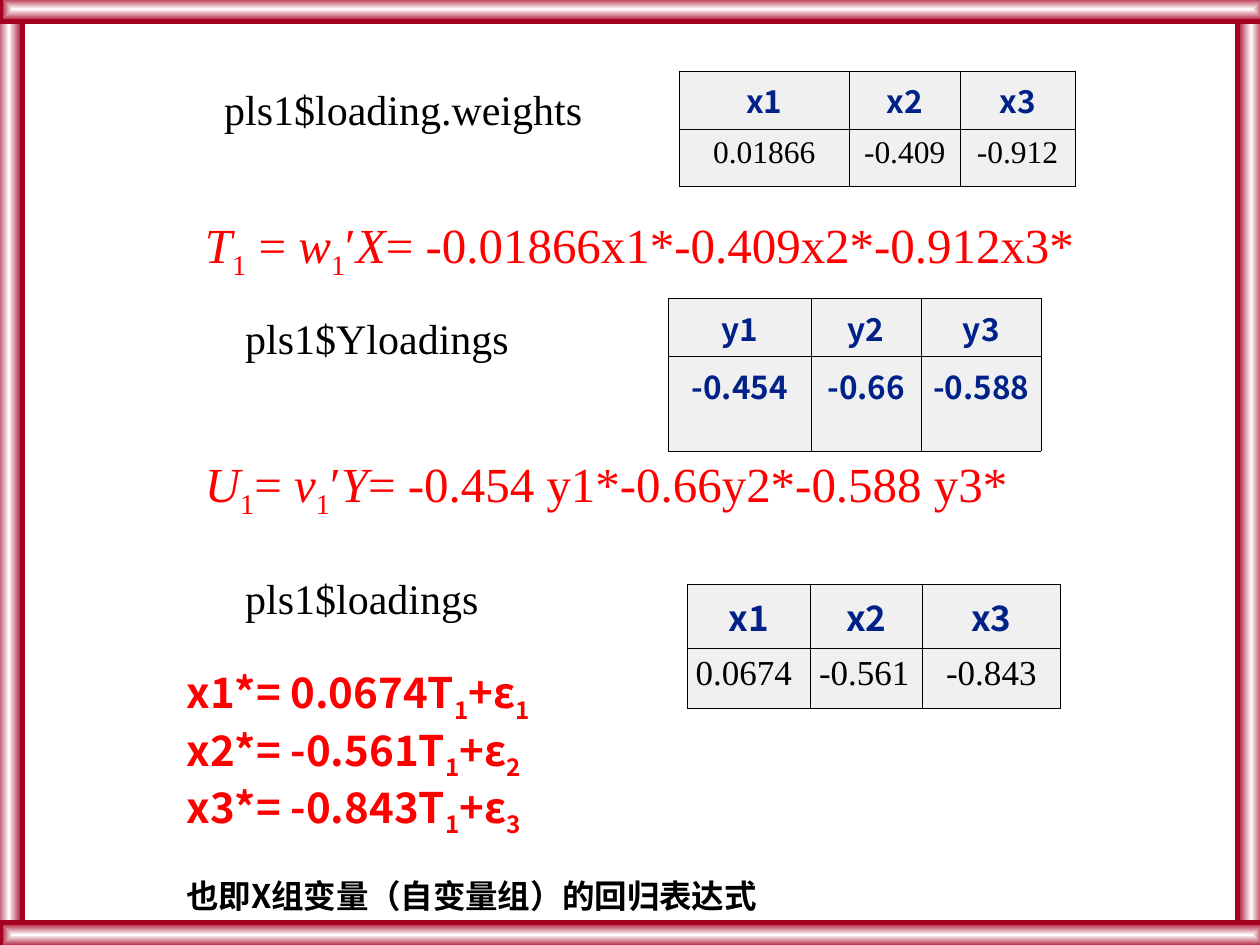
import pptx
import pptx.util
import pptx.dml.color
import pptx.enum.shapes
import pptx.enum.text
import pptx.oxml
import pptx.oxml.ns
from lxml import etree

Pt = pptx.util.Pt
ALIGN = pptx.enum.text.PP_ALIGN
HEX = {"red": "FF0000", "black": "000000", "navy": "002288",
       "wine": "A50021", "white": "FFFFFF", "grey": "F0F0F0"}
SANS, SERIF = "Noto Sans CJK SC", "Times New Roman"

# Font styles: size, face, colour, bold
HEAD = (18, SANS, "navy", True)
HEAD_BIG = (20, SANS, "navy", True)
CELL = (18, SERIF, "black", False)
CELL_BIG = (20, SERIF, "black", False)
LABEL = (24, SERIF, "black", False)
MATH = (28, SERIF, "red", False)
MODEL = (24, SANS, "red", True)
NOTE = (32, SANS, "black", True)

# Frame bars: left, top, width, height
BARS = [(707, -2, 16, 540), (-3, 0, 16, 540),
        (0, -2, 723, 14.5), (0, 527, 723, 14.5)]

# Tables: left, top, column widths, row heights, row styles, rows, left-set cells
TABLES = [
    (382, 170.5, (81.5, 63, 68.5), (32, 54), (HEAD, HEAD),
     (("y1", "y2", "y3"), ("-0.454", "-0.66", "-0.588")), ()),
    (388, 40.5, (97.5, 63, 66), (32, 32.5), (HEAD, CELL),
     (("x1", "x2", "x3"), ("0.01866", "-0.409", "-0.912")), ()),
    (392.5, 334, (70.5, 64, 79), (34.5, 34.5), (HEAD_BIG, CELL_BIG),
     (("x1", "x2", "x3"), ("0.0674", "-0.561", "-0.843")), ((1, 0), (1, 1))),
]

# Runs are (text, mark): i = italic, s = subscript
SCORE_T = [("T", "i"), ("1", "s"), (" = ", ""), ("w", "i"), ("1", "s"), ("′", ""),
           ("X", "i"), ("= -0.01866x1*-0.409x2*-0.912x3*", "")]
SCORE_U = [("U", "i"), ("1", "s"), ("= ", ""), ("v", "i"), ("1", "s"), ("′", ""),
           ("Y", "i"), ("= -0.454 y1*-0.66y2*-0.588 y3*", "")]
LOADS = ["0.0674", "-0.561", "-0.843"]
MODELS = [(MODEL, [(f"x{n}*= {load}T", ""), ("1", "s"), ("+ε", ""), (str(n), "s")])
          for n, load in enumerate(LOADS, 1)]
REMARK = (NOTE, [("也即X组变量（自变量组）的回归表达式", "s")])

# Text boxes: left, top, width, height, wrap, paragraphs
BOXES = [
    (110, 119, 519, 45, True, [(MATH, SCORE_T)]),
    (110, 255.5, 485, 45, True, [(MATH, SCORE_U)]),
    (121, 44, 219, 36, False, [(LABEL, [("pls1$loading.weights", "")])]),
    (133, 175, 165, 36, False, [(LABEL, [("pls1$Yloadings", "")])]),
    (133, 323.5, 148, 36, False, [(LABEL, [("pls1$loadings", "")])]),
    (99.5, 377.5, 417, 150, True, MODELS + [REMARK]),
]


def color(name):
    return pptx.dml.color.RGBColor.from_string(HEX[name])


def tag(name):
    return pptx.oxml.ns.qn("a:" + name)


def write(para, style, runs):
    size, face, ink, bold = style
    font = para.font
    font.size, font.name, font.bold = Pt(size), face, bold
    font.color.rgb = color(ink)
    base = para._p.pPr.find(tag("defRPr"))
    etree.SubElement(base, tag("ea")).set("typeface", face)
    for text, mark in runs:
        run = para.add_run()
        run.text = text
        if mark == "i":
            run.font.italic = True
        elif mark == "s":
            run.font._element.set("baseline", "-25000")


def add_bar(shapes, box):
    bar = shapes.add_shape(pptx.enum.shapes.MSO_SHAPE.RECTANGLE, *map(Pt, box))
    bar.shadow.inherit = False
    bar.line.color.rgb, bar.line.width = color("wine"), Pt(3)
    bar.fill.gradient()
    for stop, (name, pos) in zip(bar.fill.gradient_stops, (("white", 0), ("wine", 1))):
        stop.color.rgb, stop.position = color(name), pos
    grad = bar._element.spPr.find(tag("gradFill"))
    grad.remove(grad.find(tag("lin")))
    path = etree.SubElement(grad, tag("path"), {"path": "rect"})
    etree.SubElement(path, tag("fillToRect"), dict.fromkeys("ltrb", "50000"))


def add_edges(cell):
    """Draw thin black borders; they must come before the cell's fill."""
    props = cell._tc.get_or_add_tcPr()
    for spot, side in enumerate(("lnL", "lnR", "lnT", "lnB")):
        edge = etree.Element(tag(side), {"w": str(Pt(0.34))})
        fill = etree.SubElement(edge, tag("solidFill"))
        etree.SubElement(fill, tag("srgbClr")).set("val", HEX["black"])
        props.insert(spot, edge)


def add_grid(shapes, left, top, cols, rows, styles, data, lefts):
    grid = shapes.add_table(len(rows), len(cols), Pt(left), Pt(top),
                            Pt(sum(cols)), Pt(sum(rows))).table
    for col, width in zip(grid.columns, cols):
        col.width = Pt(width)
    for r, (height, style, texts) in enumerate(zip(rows, styles, data)):
        grid.rows[r].height = Pt(height)
        for c, text in enumerate(texts):
            cell = grid.cell(r, c)
            cell.margin_left = cell.margin_right = Pt(5)
            cell.margin_top = cell.margin_bottom = Pt(3.6)
            cell.fill.solid()
            cell.fill.fore_color.rgb = color("grey")
            add_edges(cell)
            para = cell.text_frame.paragraphs[0]
            para.alignment = ALIGN.LEFT if (r, c) in lefts else ALIGN.CENTER
            write(para, style, [(text, "")])


def add_text(shapes, left, top, width, height, wrap, paras):
    frame = shapes.add_textbox(*map(Pt, (left, top, width, height))).text_frame
    frame.word_wrap = wrap
    frame.auto_size = pptx.enum.text.MSO_AUTO_SIZE.SHAPE_TO_FIT_TEXT
    for n, (style, runs) in enumerate(paras):
        write(frame.add_paragraph() if n else frame.paragraphs[0], style, runs)


def main():
    deck = pptx.Presentation()
    deck.slide_width, deck.slide_height = Pt(720), Pt(540)
    shapes = deck.slides.add_slide(deck.slide_layouts[6]).shapes
    for bar in BARS:
        add_bar(shapes, bar)
    for grid in TABLES:
        add_grid(shapes, *grid)
    for box in BOXES:
        add_text(shapes, *box)
    deck.save("out.pptx")


if __name__ == "__main__":
    main()
